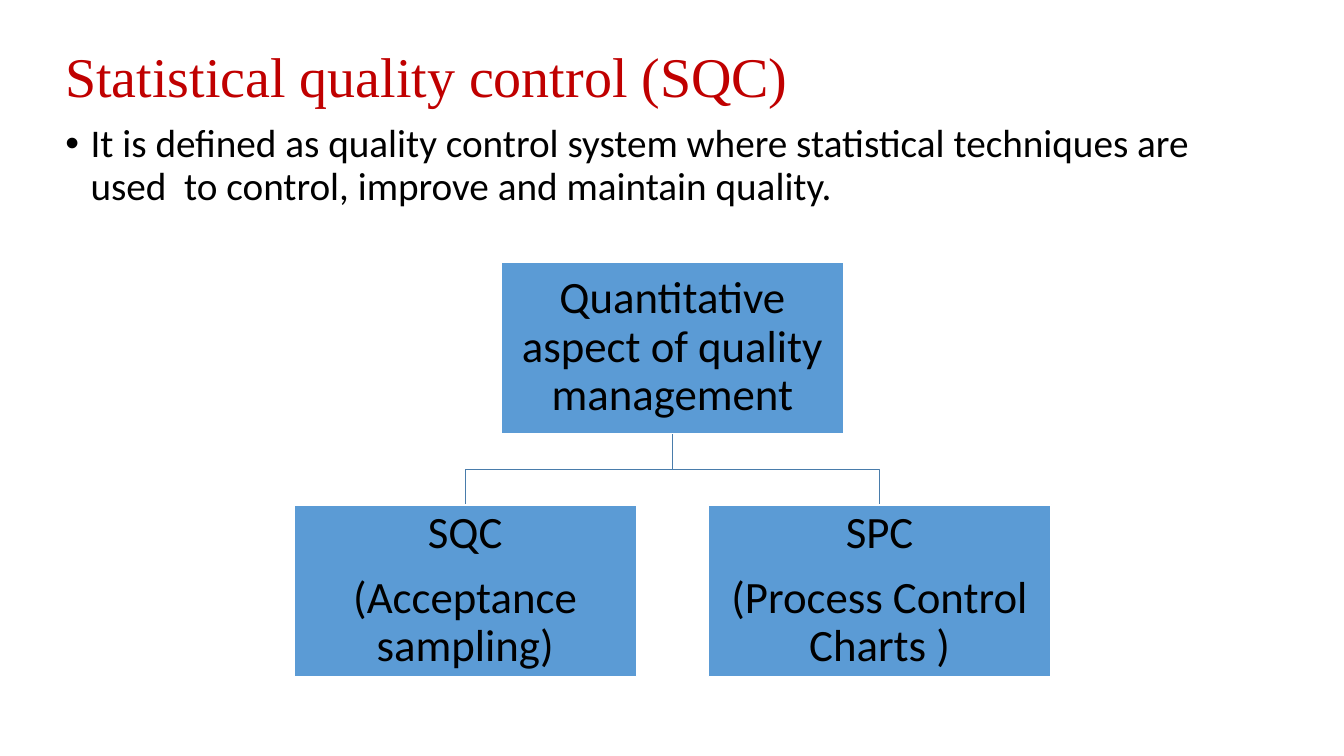
from lxml import etree
from pptx import Presentation
from pptx.dml.color import RGBColor
from pptx.enum import shapes, text
from pptx.oxml.ns import qn
from pptx.util import Inches, Pt

RED = RGBColor(0xC0, 0x00, 0x00)
BLACK = RGBColor(0x00, 0x00, 0x00)
WHITE = RGBColor(0xFF, 0xFF, 0xFF)
BLUE = RGBColor(0x5B, 0x9B, 0xD5)
LINE_BLUE = RGBColor(0x49, 0x7C, 0xAB)

BOX_WIDTH, BOX_HEIGHT = 3.4, 1.7
CENTRE, BRANCH = 6.67, 2.055
ROOT_TOP, CHILD_TOP = 2.6, 5.01


def add_span(para, words, font, size, color):
    para.line_spacing = 0.9
    span = para.add_run()
    span.text = words
    for name, value in {"name": font, "size": Pt(size)}.items():
        setattr(span.font, name, value)
    span.font.color.rgb = color


deck = Presentation()
deck.slide_width, deck.slide_height = Inches(13.33), Inches(7.5)
page = deck.slides.add_slide(deck.slide_layouts[6])

# Heading and definition
body = page.shapes.add_textbox(Inches(0.55), Inches(0.44), Inches(11.87), Inches(6.32))
frame = body.text_frame
frame.word_wrap = True
add_span(frame.paragraphs[0], "Statistical quality control (SQC)", "Times New Roman", 40, RED)

definition = frame.add_paragraph()
properties = definition._p.get_or_add_pPr()
properties.set("marL", str(Inches(0.25)))
properties.set("indent", str(Inches(-0.25)))
etree.SubElement(properties, qn("a:buFont"), typeface="Arial")
etree.SubElement(properties, qn("a:buChar"), char="•")
definition.space_before = Pt(10)
add_span(
    definition,
    "It is defined as quality control system where statistical techniques are "
    "used  to control, improve and maintain quality.",
    "Calibri", 28, BLACK,
)

# Branches from the root to each child
root_bottom = ROOT_TOP + BOX_HEIGHT
middle = (root_bottom + CHILD_TOP) / 2
for child_x in (CENTRE + BRANCH, CENTRE - BRANCH):
    builder = page.shapes.build_freeform(Inches(CENTRE), Inches(root_bottom))
    corners = [(CENTRE, middle), (child_x, middle), (child_x, CHILD_TOP)]
    builder.add_line_segments([(Inches(x), Inches(y)) for x, y in corners], close=False)
    branch = builder.convert_to_shape()
    branch.shadow.inherit = False
    branch.fill.background()
    branch.line.color.rgb = LINE_BLUE
    branch.line.width = Pt(1)

# Boxes of the hierarchy
boxes = [
    (CENTRE, ROOT_TOP, ["Quantitative aspect of quality management"]),
    (CENTRE - BRANCH, CHILD_TOP, ["SQC", "(Acceptance sampling)"]),
    (CENTRE + BRANCH, CHILD_TOP, ["SPC", "(Process Control Charts )"]),
]
for centre, top, lines in boxes:
    box = page.shapes.add_shape(
        shapes.MSO_SHAPE.RECTANGLE,
        Inches(centre - BOX_WIDTH / 2), Inches(top), Inches(BOX_WIDTH), Inches(BOX_HEIGHT),
    )
    box.shadow.inherit = False
    box.fill.solid()
    box.fill.fore_color.rgb = BLUE
    box.line.color.rgb = WHITE
    box.line.width = Pt(1)
    frame = box.text_frame
    frame.word_wrap = True
    frame.vertical_anchor = text.MSO_ANCHOR.MIDDLE
    for side in ("left", "top", "right", "bottom"):
        setattr(frame, f"margin_{side}", Inches(0.02))
    for index, words in enumerate(lines):
        para = frame.add_paragraph() if index else frame.paragraphs[0]
        para.alignment = text.PP_ALIGN.CENTER
        if index:
            para.space_before = Pt(11.2)
        add_span(para, words, "Calibri", 32, BLACK)

deck.save("out.pptx")
